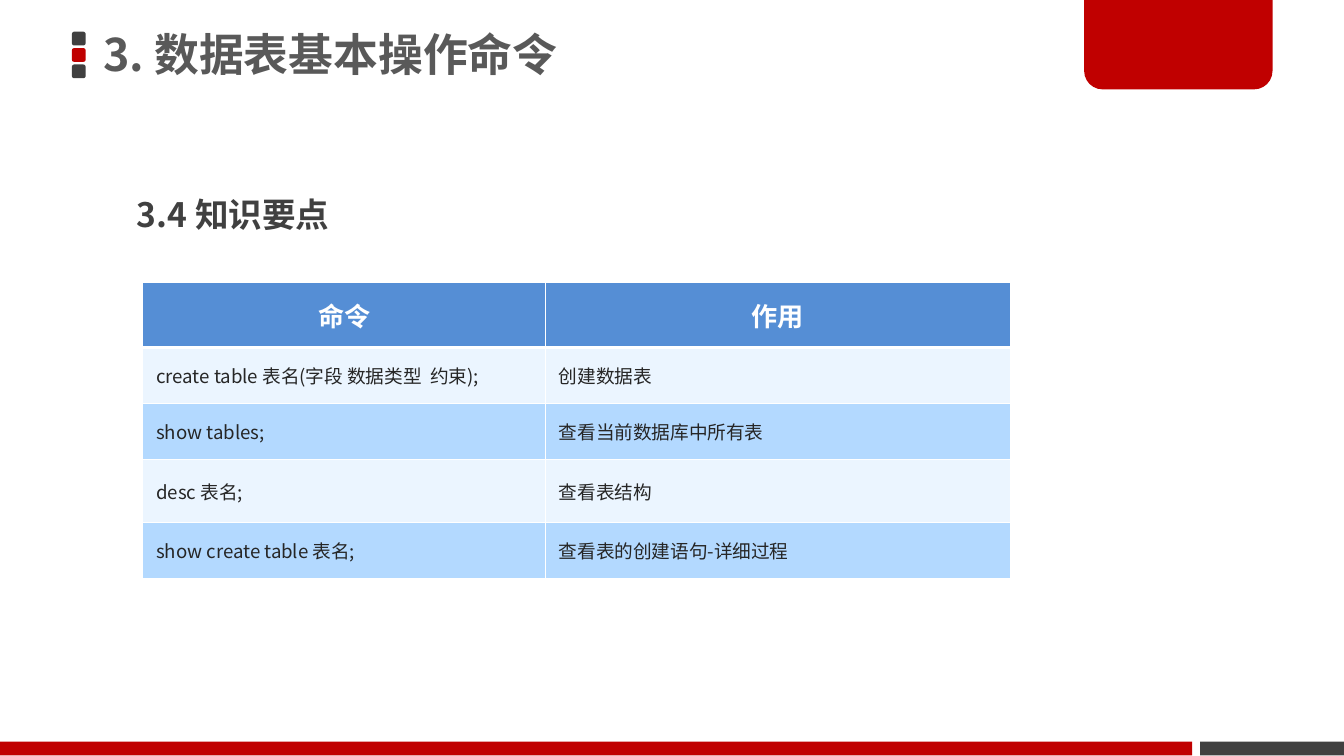
import pptx
import pptx.util
import pptx.oxml
import pptx.oxml.ns
from pptx.dml.color import RGBColor
from pptx.enum.shapes import MSO_SHAPE
from pptx.enum.text import MSO_ANCHOR, PP_ALIGN
from pptx.util import Cm

FONT = "Noto Sans CJK SC"
RED = RGBColor(0xC0, 0x00, 0x00)
DARK_GREY = RGBColor(0x40, 0x40, 0x40)
TITLE_GREY = RGBColor(0x59, 0x59, 0x59)
CELL_TEXT = RGBColor(0x26, 0x26, 0x26)
WHITE = RGBColor(0xFF, 0xFF, 0xFF)
HEADER_BLUE = RGBColor(0x55, 0x8E, 0xD5)
BAND_COLORS = (RGBColor(0xEB, 0xF5, 0xFF), RGBColor(0xB3, 0xD9, 0xFF))

COMMANDS = (
    ("命令", "作用"),
    ("create table 表名(字段 数据类型  约束);", "创建数据表"),
    ("show tables;", "查看当前数据库中所有表"),
    ("desc 表名;", "查看表结构"),
    ("show create table 表名;", "查看表的创建语句-详细过程"),
)
COLUMN_WIDTHS = (7.61, 8.78)
ROW_HEIGHTS = (1.23, 1.06, 1.06, 1.19, 1.06)


def write_text(text_frame, text, *, size, color, bold=False,
               align=PP_ALIGN.LEFT, line_spacing=1.0):
    """Write one formatted paragraph into a text frame."""
    paragraph = text_frame.paragraphs[0]
    paragraph.alignment = align
    paragraph.line_spacing = line_spacing
    run = paragraph.add_run()
    run.text = text
    run.font.size = pptx.util.Pt(size)
    run.font.bold = bold
    run.font.color.rgb = color
    run.font.name = FONT
    east_asian = pptx.oxml.parse_xml(
        f'<a:ea {pptx.oxml.ns.nsdecls("a")} typeface="{FONT}"/>')
    run.font._element.find(pptx.oxml.ns.qn("a:latin")).addnext(east_asian)


def add_block(slide, kind, box, color, adjustments=()):
    """Add a plain filled shape; box is left, top, width, height in cm."""
    shape = slide.shapes.add_shape(kind, *map(Cm, box))
    shape.shadow.inherit = False
    shape.fill.solid()
    shape.fill.fore_color.rgb = color
    shape.line.fill.background()
    for index, value in enumerate(adjustments):
        shape.adjustments[index] = value


def add_heading(slide, text, box, *, margins, anchor, **text_format):
    """Add a bold heading in a wrapping text box."""
    text_frame = slide.shapes.add_textbox(*map(Cm, box)).text_frame
    text_frame.word_wrap = True
    text_frame.vertical_anchor = anchor
    text_frame.margin_left = text_frame.margin_right = Cm(margins[0])
    text_frame.margin_top = text_frame.margin_bottom = Cm(margins[1])
    write_text(text_frame, text, bold=True, **text_format)


def set_borders(cell, widths):
    """Draw white cell borders; widths maps each side to points."""
    properties = cell._tc.get_or_add_tcPr()
    for index, side in enumerate("LRTB"):
        properties.insert(index, pptx.oxml.parse_xml(
            f'<a:ln{side} {pptx.oxml.ns.nsdecls("a")} '
            f'w="{pptx.util.Pt(widths[side])}"><a:solidFill>'
            f'<a:srgbClr val="{WHITE}"/></a:solidFill></a:ln{side}>'))


def style_cell(cell, text, row):
    """Fill, border and label one cell according to its row."""
    header = row == 0
    cell.fill.solid()
    cell.fill.fore_color.rgb = HEADER_BLUE if header else BAND_COLORS[(row - 1) % 2]
    set_borders(cell, {"L": 0.45, "R": 0.45,
                       "T": 1.47 if row == 1 else 0.45,
                       "B": 1.47 if header else 0.45})
    cell.vertical_anchor = MSO_ANCHOR.MIDDLE
    write_text(cell.text_frame, text, bold=header,
               size=14 if header else 10,
               color=WHITE if header else CELL_TEXT,
               align=PP_ALIGN.CENTER if header else PP_ALIGN.LEFT)


def add_command_table(slide, left, top):
    """Add the table of commands and their effects."""
    table = slide.shapes.add_table(
        len(COMMANDS), len(COLUMN_WIDTHS), Cm(left), Cm(top),
        Cm(sum(COLUMN_WIDTHS)), Cm(sum(ROW_HEIGHTS))).table
    for column, width in zip(table.columns, COLUMN_WIDTHS):
        column.width = Cm(width)
    for row, (texts, height) in enumerate(zip(COMMANDS, ROW_HEIGHTS)):
        table.rows[row].height = Cm(height)
        for column, text in enumerate(texts):
            style_cell(table.cell(row, column), text, row)


def add_decoration(slide):
    """Add the title squares, the corner tab and the footer bars."""
    for index, color in enumerate((DARK_GREY, RED, DARK_GREY)):
        add_block(slide, MSO_SHAPE.ROUNDED_RECTANGLE,
                  (1.36, 0.6 + 0.31 * index, 0.26, 0.26), color, (0.167,))
    add_block(slide, MSO_SHAPE.RECTANGLE, (22.68, 14.02, 2.72, 0.26), DARK_GREY)
    add_block(slide, MSO_SHAPE.ROUND_2_SAME_RECTANGLE,
              (20.49, -0.05, 3.56, 1.74), RED, (0, 0.2))
    add_block(slide, MSO_SHAPE.RECTANGLE, (0, 14.02, 22.53, 0.26), RED)


def main():
    """Build and save the slide."""
    presentation = pptx.Presentation()
    presentation.slide_width = Cm(25.4)
    presentation.slide_height = Cm(14.29)
    slide = presentation.slides.add_slide(presentation.slide_layouts[6])
    add_decoration(slide)
    add_heading(slide, "3. 数据表基本操作命令", (1.75, -0.05, 14.96, 2.26),
                margins=(0.2, 0.1), anchor=MSO_ANCHOR.MIDDLE,
                size=24, color=TITLE_GREY, line_spacing=0.9)
    add_heading(slide, "3.4 知识要点", (2.34, 3.15, 9.75, 1.4),
                margins=(0.25, 0.13), anchor=MSO_ANCHOR.TOP,
                size=18, color=DARK_GREY, line_spacing=1.5)
    add_command_table(slide, 2.7, 5.34)
    presentation.save("out.pptx")


main()
